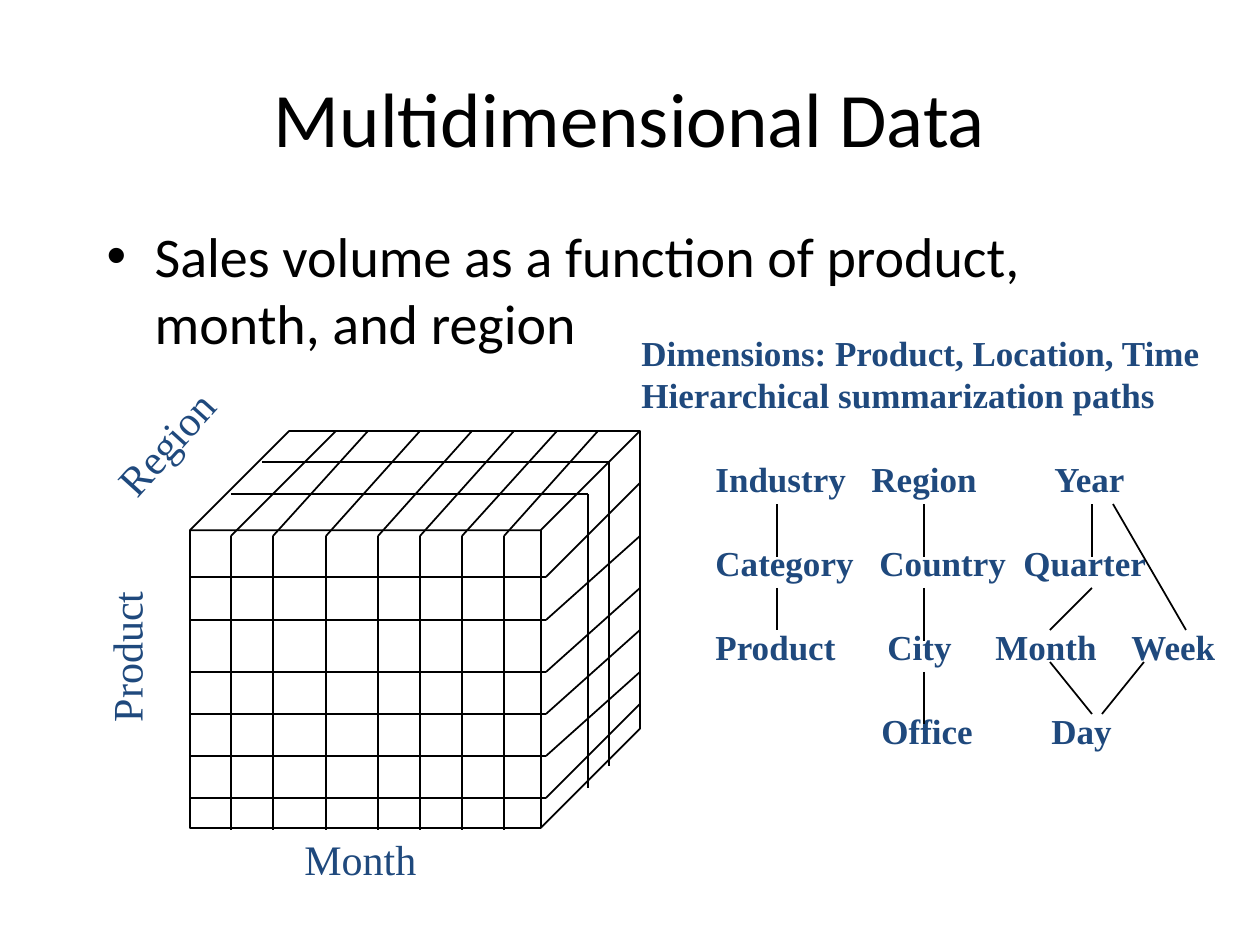
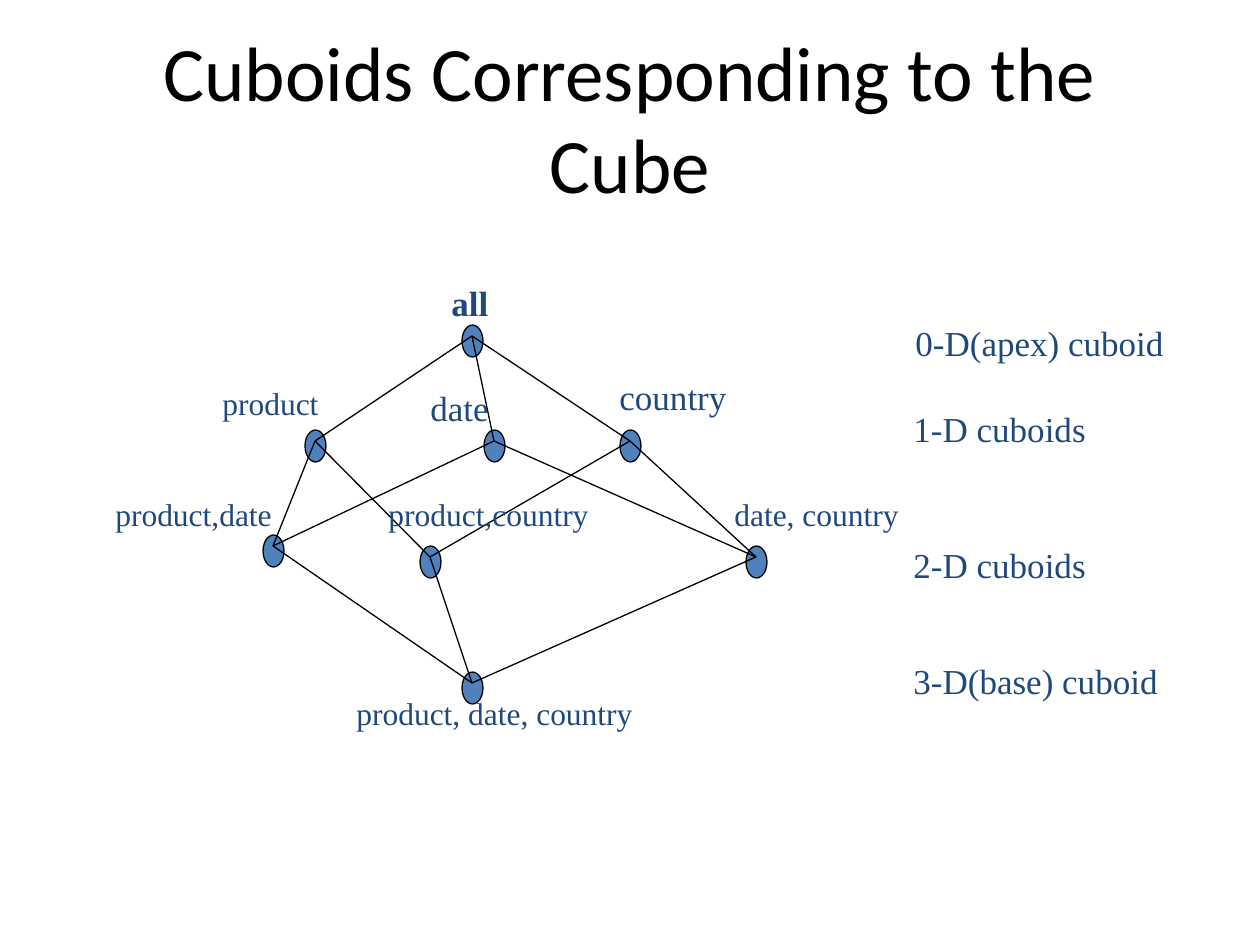
from itertools import permutations
from lxml import etree
from pptx import Presentation
from pptx.dml.color import RGBColor
from pptx.enum.shapes import MSO_CONNECTOR as CONN, MSO_SHAPE as SHAPE
from pptx.enum.text import MSO_ANCHOR, MSO_AUTO_SIZE as AUTO, PP_ALIGN
from pptx.oxml.ns import qn
from pptx.util import Pt

# Shared style
PX = 914400 / 126
COLORS = {"black": "000000", "label": "1F497D", "node": "4F81BD"}
SANS, SERIF = "Calibri", "Times New Roman"
TITLE_BOX = (63, 38, 1134, 158)

# Slide 1: sales cube
CUBE_TITLE = "Multidimensional Data"
CUBE_BULLET = "Sales volume as a function of product, month, and region"
BODY_BOX = (94, 215, 1103, 630)
CUBE_BOX = (190, 431, 450, 397)
FRONT_LEFT, FRONT_RIGHT, FRONT_TOP, FRONT_BOTTOM = 189, 546, 536, 830
BACK_TOP, BACK_RIGHT = 431, 640
ROWS = [(577, 483), (620, 536), (672, 588), (714, 630), (756, 672), (798, 704)]  # y front, back
COLUMNS = [(231, 336), (273, 368), (326, 420), (378, 472), (420, 514),
           (462, 557), (504, 598)]  # x front, back
SLICES = [(262, 462, 609, 766), (231, 494, 588, 788)]  # left, top, right, bottom
AXES = [("Product", 46, 623, 160, 270), ("Region", 92, 410, 150, 312),
        ("Month", 292, 827, 144, 0)]  # text, left, top, width, angle

# Slide 1: hierarchies, each word with its left edge
SUMMARY = ["Dimensions: Product, Location, Time", "Hierarchical summarization paths"]
HIERARCHY_LEFT, HIERARCHY_TOP, HIERARCHY_WIDTH = 703, 451, 535
TEXT_LEFT = 716
LEVELS = [
    [("Industry", 716), ("Region", 872), ("Year", 1055)],
    [("Category", 716), ("Country", 880), ("Quarter", 1024)],
    [("Product", 716), ("City", 888), ("Month", 996), ("Week", 1132)],
    [("", 716), ("Office", 882), ("Day", 1052)],
]
PATHS = [
    (777, 504, 777, 557), (924, 504, 924, 557), (1092, 504, 1092, 557),
    (777, 588, 777, 630), (924, 588, 924, 641), (924, 672, 924, 724),
    (1092, 588, 1050, 630), (1113, 504, 1186, 630),
    (1050, 662, 1092, 714), (1144, 662, 1102, 714),
]

# Slide 2: lattice of cuboids
LATTICE_TITLE = "Cuboids Corresponding to the Cube"
NODE_W, NODE_H = 21, 32
CUBOIDS = [  # label, joint x, y, label left, top, width, size
    ("all", 472, 336, 439, 275, 72, 20),
    ("product", 315, 441, 210, 378, 132, 18),
    ("date", 494, 441, 418, 380, 94, 20),
    ("country", 630, 441, 607, 369, 142, 20),
    ("product,date", 273, 546, 103, 489, 192, 18),
    ("product,country", 430, 557, 376, 489, 236, 18),
    ("date, country", 756, 557, 722, 489, 200, 18),
    ("product, date, country", 472, 683, 344, 688, 312, 18),
]
RANKS = [("0-D(apex) cuboid", 903, 315, 284), ("1-D cuboids", 901, 401, 208),
         ("2-D cuboids", 901, 537, 208), ("3-D(base) cuboid", 901, 653, 280)]


def px(*values):
    return [round(v * PX) for v in values]


def rgb(name):
    return RGBColor.from_string(COLORS[name])


def add_run(p, text, size, font, color, bold=False):
    r = p.add_run()
    r.text = text
    f = r.font
    f.size, f.name, f.bold = Pt(size), font, bold
    f.color.rgb = rgb(color)


def place(sp, box):
    sp.left, sp.top, sp.width, sp.height = px(*box)


def new_slide(prs, layout, title):
    s = prs.slides.add_slide(prs.slide_layouts[layout])
    place(s.shapes.title, TITLE_BOX)
    tf = s.shapes.title.text_frame
    tf.auto_size, tf.vertical_anchor = AUTO.NONE, MSO_ANCHOR.MIDDLE
    p = tf.paragraphs[0]
    p.alignment = PP_ALIGN.CENTER
    add_run(p, title, 44, SANS, "black")
    return s


def add_line(s, x1, y1, x2, y2, width=1):
    c = s.shapes.add_connector(CONN.STRAIGHT, *px(x1, y1, x2, y2))
    c.line.color.rgb, c.line.width = rgb("black"), Pt(width)
    etree.SubElement(c._element.spPr, qn("a:effectLst"))


def add_outline(s, kind, box, width, fill=None):
    sp = s.shapes.add_shape(kind, *px(*box))
    sp.shadow.inherit = False
    if fill:
        sp.fill.solid()
        sp.fill.fore_color.rgb = rgb(fill)
    else:
        sp.fill.background()
    sp.line.color.rgb, sp.line.width = rgb("black"), Pt(width)
    return sp


def add_label(s, lines, left, top, width, size, bold=False, angle=0):
    height = round(len(lines) * size * 2.1 + 13)
    sp = s.shapes.add_textbox(*px(left, top, width, height))
    sp.rotation = angle
    tf = sp.text_frame
    tf.word_wrap, tf.auto_size = True, AUTO.NONE
    for i, line in enumerate(lines):
        p = tf.add_paragraph() if i else tf.paragraphs[0]
        p.line_spacing = Pt(size * 1.2)
        add_run(p, line, size, SERIF, "label", bold)


def add_bullet(s, text):
    body = s.placeholders[1]
    place(body, BODY_BOX)
    body.text_frame.auto_size = AUTO.NONE
    p = body.text_frame.paragraphs[0]
    p.space_before = Pt(0)
    pPr = p._p.get_or_add_pPr()
    indent = px(48)[0]
    pPr.set("marL", str(indent))
    pPr.set("indent", str(-indent))
    etree.SubElement(pPr, qn("a:buChar")).set("char", "•")
    add_run(p, text, 32, SANS, "black")


def add_hierarchy(s):
    sp = s.shapes.add_textbox(*px(HIERARCHY_LEFT, HIERARCHY_TOP, HIERARCHY_WIDTH, 307))
    tf = sp.text_frame
    tf.word_wrap = True
    for i, level in enumerate(LEVELS):
        p = tf.add_paragraph() if i else tf.paragraphs[0]
        p.line_spacing, p.space_before = Pt(24), Pt(24 if i else 0)
        tabs = etree.SubElement(p._p.get_or_add_pPr(), qn("a:tabLst"))
        for _, left in level[1:]:
            tab = etree.SubElement(tabs, qn("a:tab"))
            tab.set("pos", str(px(left - TEXT_LEFT)[0]))
            tab.set("algn", "l")
        add_run(p, "\t".join(word for word, _ in level), 20, SERIF, "label", True)


def cube_slide(prs):
    s = new_slide(prs, 1, CUBE_TITLE)
    add_bullet(s, CUBE_BULLET)
    # Cube and its grid
    add_outline(s, SHAPE.CUBE, CUBE_BOX, 1).adjustments[0] = 0.25
    for front, back in ROWS:
        add_line(s, FRONT_LEFT, front, FRONT_RIGHT, front)
        add_line(s, FRONT_RIGHT, front, BACK_RIGHT, back)
    for front, back in COLUMNS:
        add_line(s, front, FRONT_TOP, front, FRONT_BOTTOM)
        add_line(s, front, FRONT_TOP, back, BACK_TOP)
    for left, top, right, bottom in SLICES:
        add_line(s, left, top, right, top)
        add_line(s, right, top, right, bottom)
    for text, left, top, width, angle in AXES:
        add_label(s, [text], left, top, width, 24, angle=angle)
    # Summarization paths
    add_label(s, SUMMARY, 629, 325, 600, 20, bold=True)
    add_hierarchy(s)
    for path in PATHS:
        add_line(s, *path)


def dimensions(label):
    return set() if label == "all" else set(label.replace(" ", "").split(","))


def lattice_slide(prs):
    s = new_slide(prs, 5, LATTICE_TITLE)
    for _, x, y, *_ in CUBOIDS:
        add_outline(s, SHAPE.FLOWCHART_CONNECTOR, (x - 10, y - 11, NODE_W, NODE_H), 0.75, "node")
    # Join each cuboid to those with exactly one more dimension
    for (a, x1, y1, *_), (b, x2, y2, *_) in permutations(CUBOIDS, 2):
        if dimensions(a) < dimensions(b) and len(dimensions(b) - dimensions(a)) == 1:
            add_line(s, x1, y1, x2, y2, 0.75)
    for label, _, _, left, top, width, size in CUBOIDS:
        add_label(s, [label], left, top, width, size, bold=label == "all")
    for text, left, top, width in RANKS:
        add_label(s, [text], left, top, width, 20)


def main():
    prs = Presentation()
    prs.slide_width, prs.slide_height = px(1260, 945)
    cube_slide(prs)
    lattice_slide(prs)
    prs.save("out.pptx")


if __name__ == "__main__":
    main()
